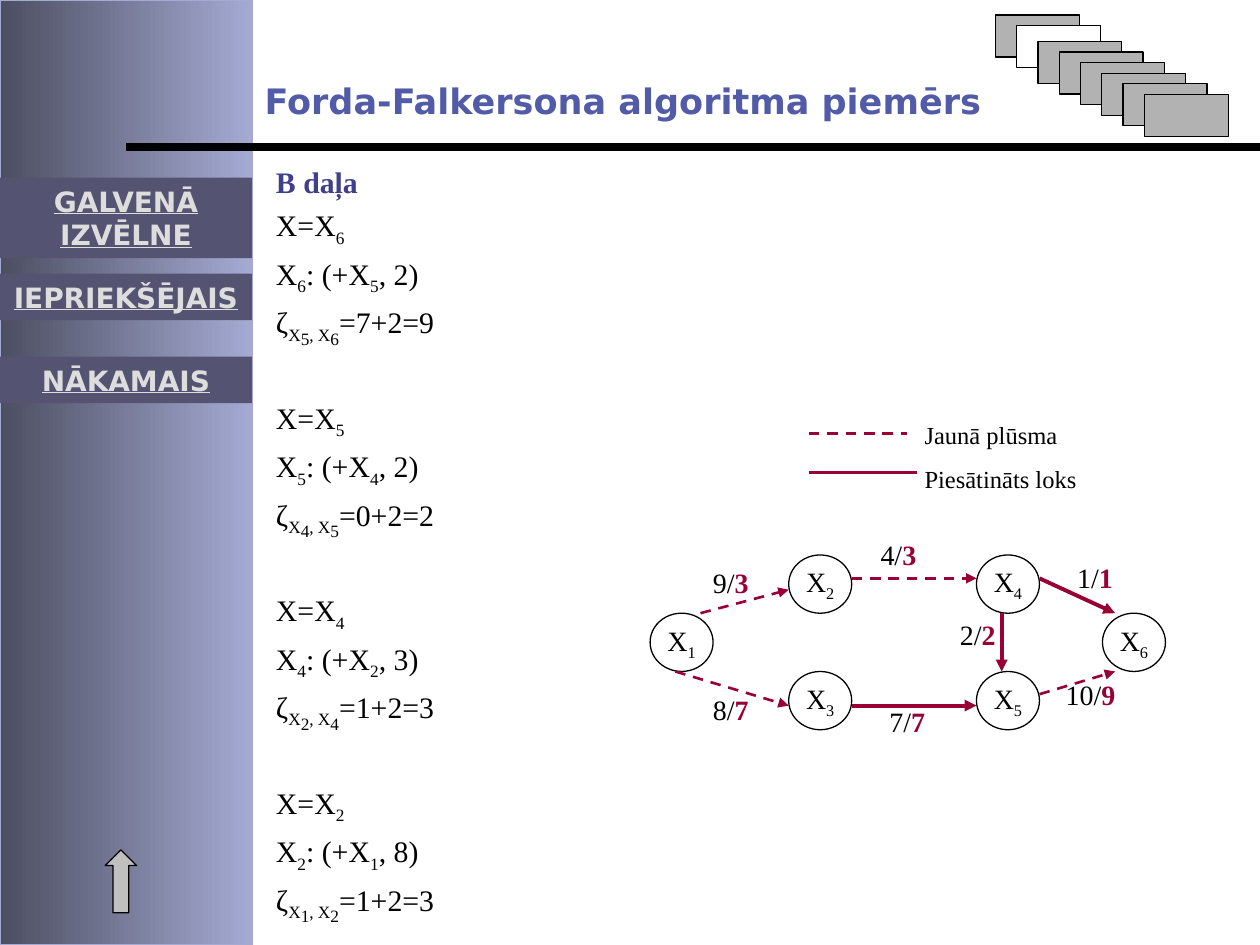
from dataclasses import dataclass

from pptx import Presentation
from pptx.dml.color import RGBColor
from pptx.enum.dml import MSO_LINE
from pptx.enum.shapes import MSO_CONNECTOR, MSO_SHAPE
from pptx.enum.text import MSO_ANCHOR, MSO_AUTO_SIZE, PP_ALIGN
from pptx.oxml.ns import qn
from pptx.util import Pt
from lxml.etree import SubElement


@dataclass(frozen=True)
class Theme:
    sans: str = "DejaVu Sans"
    serif: str = "Times New Roman"
    title: str = "515BA7"
    head: str = "3F3F8B"
    link: str = "DDDDDD"
    nav: str = "545472"
    pale: str = "A5AAD3"
    deep: str = "4C4E61"
    flow: str = "990033"
    black: str = "000000"
    white: str = "FFFFFF"
    card: str = "B2B2B2"
    arrow: str = "C0C0C0"
    big: float = 20
    body: float = 17
    label: float = 16
    key: float = 14
    thin: float = 0.75
    dash: float = 1.5
    bold: float = 2.25
    rule: float = 4.5


T = Theme()
SUB = {"base": -25}
LOW = {"base": -40}


def rgb(code):
    return RGBColor.from_string(code)


def write(para, text, face=T.serif, size=T.label, color=T.black,
          bold=False, under=False, base=0):
    run = para.add_run()
    run.text = text
    font = run.font
    font.name, font.size, font.bold = face, Pt(size), bold
    font.underline = under
    font.color.rgb = rgb(color)
    if base:
        run._r.get_or_add_rPr().set("baseline", str(base * 1000))


def place(shape, x, y, w, h):
    shape.left, shape.top, shape.width, shape.height = map(Pt, (x, y, w, h))


def setup(frame, side=7.2, anchor=MSO_ANCHOR.TOP, wrap=True):
    frame.margin_left = frame.margin_right = Pt(side)
    frame.margin_top = frame.margin_bottom = Pt(3.6)
    frame.vertical_anchor = anchor
    frame.word_wrap = wrap
    frame.auto_size = MSO_AUTO_SIZE.NONE
    return frame


def shape(slide, kind, x, y, w, h, fill, edge=T.black):
    item = slide.shapes.add_shape(kind, Pt(x), Pt(y), Pt(w), Pt(h))
    item.shadow.inherit = False
    item.fill.solid()
    item.fill.fore_color.rgb = rgb(fill)
    if edge:
        item.line.color.rgb = rgb(edge)
        item.line.width = Pt(T.thin)
    else:
        item.line.fill.background()
    return item


def line(slide, start, end, color, width, dash=False, head=False):
    item = slide.shapes.add_connector(
        MSO_CONNECTOR.STRAIGHT, *map(Pt, (*start, *end)))
    item.line.color.rgb = rgb(color)
    item.line.width = Pt(width)
    if dash:
        item.line.dash_style = MSO_LINE.DASH
    if head:
        SubElement(item.line._get_or_add_ln(), qn("a:tailEnd"), type="triangle")
    SubElement(item._element.spPr, qn("a:effectLst"))


def textbox(slide, x, y, w, h, wrap=True):
    item = slide.shapes.add_textbox(Pt(x), Pt(y), Pt(w), Pt(h))
    return setup(item.text_frame, wrap=wrap)


def band(slide, x, y, w, h):
    back = shape(slide, MSO_SHAPE.RECTANGLE, x, y, w, h, T.pale, T.pale)
    back.fill.gradient()
    back.fill.gradient_angle = 180
    for stop, code in zip(back.fill.gradient_stops, (T.pale, T.deep)):
        stop.color.rgb = rgb(code)
    line(slide, (x + 720, y + 84.2), (x + 72, y + 84.2), T.black, T.rule)
    up = shape(slide, MSO_SHAPE.RIGHT_ARROW, x + 51.1, y + 494.6, 36, 18, T.arrow)
    up.rotation = 270
    links = (("GALVENĀ IZVĒLNE", 101.5, 46, 7.2),
             ("IEPRIEKŠĒJAIS", 156.4, 26.6, 0),
             ("NĀKAMAIS", 203.8, 26.6, 7.2))
    for text, top, tall, side in links:
        tab = shape(slide, MSO_SHAPE.RECTANGLE, x, y + top, w, tall, T.nav, None)
        para = setup(tab.text_frame, side, MSO_ANCHOR.MIDDLE).paragraphs[0]
        para.alignment = PP_ALIGN.CENTER
        write(para, text, face=T.sans, color=T.link, bold=True, under=True)


def title(slide, x, y, w, h):
    item = slide.shapes.title
    place(item, x, y, w, h)
    para = setup(item.text_frame).paragraphs[0]
    para.alignment = PP_ALIGN.LEFT
    write(para, "Forda-Falkersona algoritma piemērs", face=T.sans,
          size=T.big, color=T.title, bold=True)


def steps(slide, x, y, w, h):
    item = slide.placeholders[1]
    place(item, x, y, w, h)
    frame = setup(item.text_frame)

    def row(runs, gap=4.4, **form):
        para = frame.add_paragraph() if gap else frame.paragraphs[0]
        props = para._p.get_or_add_pPr()
        props.set("marL", "0")
        props.set("indent", "0")
        SubElement(props, qn("a:buNone"))
        para.space_before = Pt(gap)
        for text, extra in runs:
            write(para, text, size=T.body, **form, **extra)

    row([("B daļa", {})], gap=0, color=T.head, bold=True)
    moves = (("6", "5", 2, "7+2=9"), ("5", "4", 2, "0+2=2"),
             ("4", "2", 3, "1+2=3"), ("2", "1", 8, "1+2=3"))
    for k, (node, prev, gain, total) in enumerate(moves):
        row([("X=X", {}), (node, SUB)], gap=29 if k else 4.4)
        row([("X", {}), (node, SUB), (": (+X", {}), (prev, SUB),
             (f", {gain})", {})])
        row([("ζ", {}), ("X", SUB), (prev, LOW), (", X", SUB), (node, LOW),
             (f"={total}", {})])


def graph(slide, x, y):
    nodes = (("1", 0, 46.6), ("2", 79.2, 13.3), ("3", 79.2, 79.9),
             ("5", 186.5, 79.9), ("6", 258.5, 46.6), ("4", 186.5, 13.3))
    for name, dx, dy in nodes:
        node = shape(slide, MSO_SHAPE.OVAL, x + dx, y + dy, 36, 33.3, T.white)
        frame = setup(node.text_frame, anchor=MSO_ANCHOR.MIDDLE, wrap=False)
        para = frame.paragraphs[0]
        para.alignment = PP_ALIGN.CENTER
        write(para, "X")
        write(para, name, **SUB)
    edges = ((28.8, 46.6, 79.2, 33.2, True, "9/", "3", 28.8, 15.9),
             (115.2, 26.7, 186.5, 26.7, True, "4/", "3", 124.6, 0),
             (222.5, 26.7, 265.7, 46.6, False, "1/", "1", 236.9, 13),
             (14.4, 79.9, 79.2, 99.4, True, "8/", "7", 28.8, 88.6),
             (115.2, 99.4, 186.5, 99.4, False, "7/", "7", 129.6, 95.1),
             (222.5, 92.9, 265.7, 79.9, True, "10/", "9", 230.4, 79.9),
             (200.9, 46.6, 200.9, 79.9, False, "2/", "2", 169.9, 45.4))
    for ax, ay, bx, by, dash, cap, flow, dx, dy in edges:
        line(slide, (x + ax, y + ay), (x + bx, y + by), T.flow,
             T.dash if dash else T.bold, dash, head=True)
        para = textbox(slide, x + dx, y + dy, 43, 26.6, False).paragraphs[0]
        write(para, cap)
        write(para, flow, color=T.flow, bold=True)


def legend(slide, x, y):
    frame = textbox(slide, x + 59, y, 102.2, 49.7)
    write(frame.paragraphs[0], "Jaunā plūsma", size=T.key)
    para = frame.add_paragraph()
    para.space_before = Pt(8.8)
    write(para, "Piesātināts loks", size=T.key)
    line(slide, (x, y + 11.5), (x + 56.2, y + 11.5), T.flow, T.dash, dash=True)
    line(slide, (x, y + 33.8), (x + 62, y + 33.8), T.flow, T.bold)


def cards(slide, x, y):
    for k in range(8):
        shift = 3 if k > 1 else 0
        shape(slide, MSO_SHAPE.RECTANGLE, x + 12.15 * k, y + 6.05 * k + shift,
              48, 24, T.white if k == 1 else T.card)


def main():
    deck = Presentation()
    deck.slide_width, deck.slide_height = Pt(720), Pt(540)
    slide = deck.slides.add_slide(deck.slide_layouts[1])
    band(slide, 0, 0, 144, 540)
    title(slide, 144, 41.8, 466, 31.7)
    steps(slide, 150.5, 90, 215.3, 441.4)
    graph(slide, 371.5, 303.8)
    legend(slide, 462.2, 236.2)
    cards(slide, 568.8, 8.6)
    deck.save("out.pptx")


if __name__ == "__main__":
    main()
